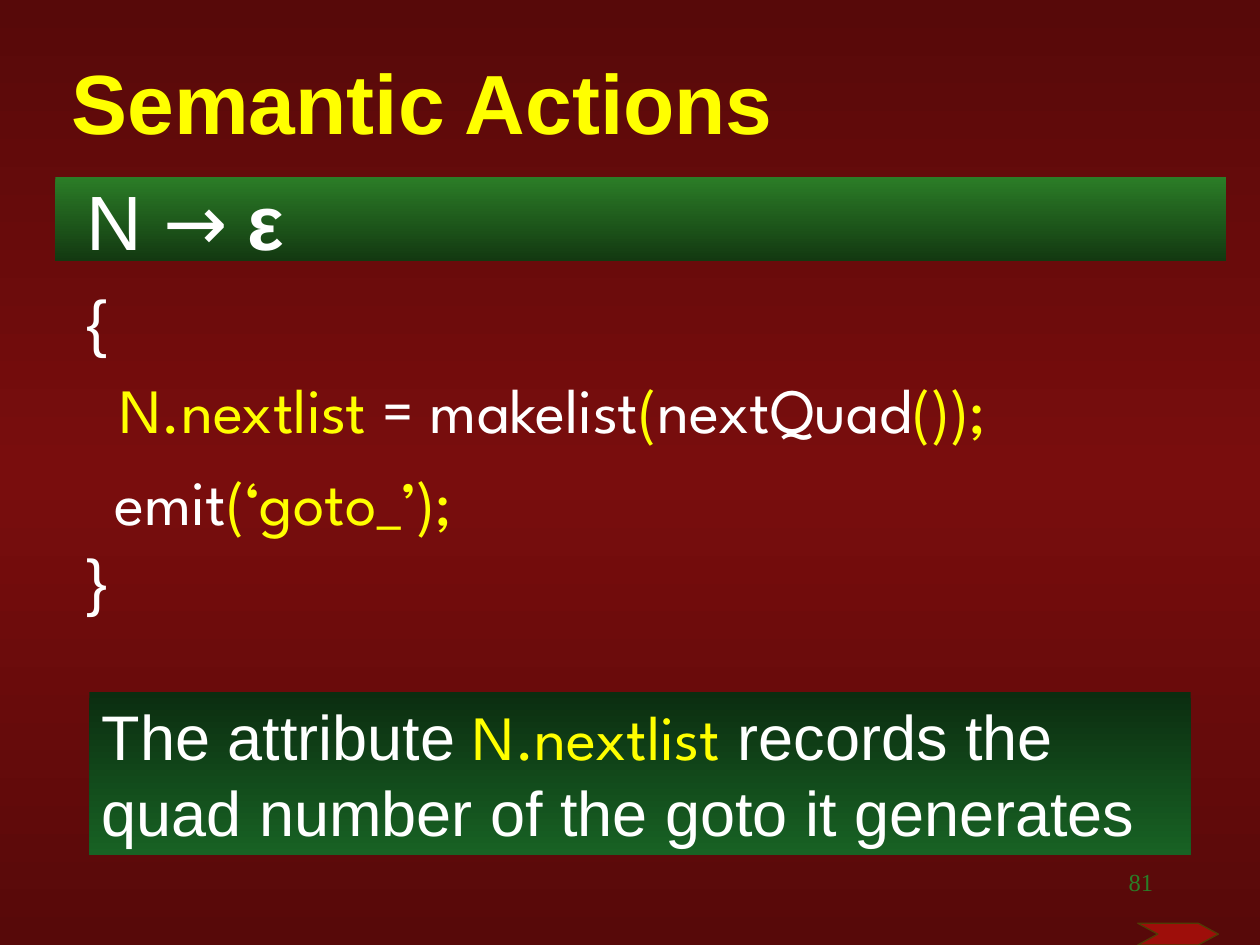
from copy import deepcopy

from pptx import Presentation
from pptx.dml.color import RGBColor
from pptx.enum.shapes import MSO_SHAPE
from pptx.enum.text import MSO_ANCHOR, PP_ALIGN
from pptx.oxml.ns import qn
from pptx.util import Inches, Pt

RECTANGLE = MSO_SHAPE.RECTANGLE
TOP, MIDDLE = MSO_ANCHOR.TOP, MSO_ANCHOR.MIDDLE
LEFT, RIGHT = PP_ALIGN.LEFT, PP_ALIGN.RIGHT
WIDTH, HEIGHT = Inches(10), Inches(7.5)
SANS, CODE, SERIF = "Arial", "League Spartan", "Times New Roman"
WHITE, YELLOW, GREEN = "FFFFFF", "FFFF00", "2B7D27"


def rgb(value):
    """Turn a hex string into a colour."""
    return RGBColor.from_string(value)


def share(left, top, width, height):
    """Turn shares of the slide into a box of lengths."""
    return tuple(round(part * side) for part, side in
                 zip((left, top, width, height), (WIDTH, HEIGHT) * 2))


def gradient(fill, owner, colors):
    """Fill from top to bottom with evenly spaced colours."""
    fill.gradient()
    fill.gradient_angle = 270
    stops = next(owner.iter(qn("a:gsLst")))
    for _ in colors[2:]:
        stops.append(deepcopy(stops[-1]))
    for index, (stop, color) in enumerate(zip(fill.gradient_stops, colors)):
        stop.position = index / (len(colors) - 1)
        stop.color.rgb = rgb(color)


def write(paragraph, text, font=SANS, size=36, color=WHITE, bold=False):
    """Add one formatted run to a paragraph."""
    run = paragraph.add_run()
    run.text = text
    run.font.name, run.font.size, run.font.bold = font, Pt(size), bold
    run.font.color.rgb = rgb(color)


def frame_of(shape, anchor=TOP):
    """Prepare the text frame of a shape for wrapped text."""
    frame = shape.text_frame
    frame.word_wrap = True
    frame.vertical_anchor = anchor
    return frame


def band(slide, box, colors):
    """Draw a borderless gradient rectangle."""
    shape = slide.shapes.add_shape(RECTANGLE, *box)
    shape.shadow.inherit = False
    shape.line.fill.background()
    gradient(shape.fill, shape.fill._xPr, colors)
    return shape


def label(slide, box, text, align=LEFT, anchor=TOP, **style):
    """Place a single line of text."""
    paragraph = frame_of(slide.shapes.add_textbox(*box), anchor).paragraphs[0]
    paragraph.alignment = align
    write(paragraph, text, **style)


def semantic_rule(slide, box):
    """Write the production and the action it triggers."""
    code, code_yellow = {"font": CODE}, {"font": CODE, "color": YELLOW}
    lines = [
        (58, 0, [("N ", {"size": 44}), ("→ ", {"font": CODE, "size": 44}),
                 ("ε", {"size": 44, "bold": True})]),
        (53, 0, [("{", {})]),
        (50, 0.26, [("N.nextlist", code_yellow), (" = makelist", code),
                    ("(", code_yellow), ("nextQuad", code), ("());", code_yellow)]),
        (53, 0.22, [("emit", code), ("(‘goto_’);", code_yellow)]),
        (45, 0, [("}", {})]),
    ]
    frame = frame_of(slide.shapes.add_textbox(*box))
    for index, (pitch, indent, runs) in enumerate(lines):
        paragraph = frame.add_paragraph() if index else frame.paragraphs[0]
        paragraph.line_spacing = Pt(pitch)
        paragraph._p.get_or_add_pPr().set("marL", str(Inches(indent)))
        for text, style in runs:
            write(paragraph, text, **style)


def explanation(slide, box):
    """Draw the panel that explains the attribute."""
    paragraph = frame_of(band(slide, box, ("0B2D10", "186224"))).paragraphs[0]
    paragraph.alignment = LEFT
    write(paragraph, "The attribute ")
    write(paragraph, "N.nextlist", font=CODE, color=YELLOW)
    write(paragraph, " records the quad number of the goto it generates")


def next_arrow(slide, box):
    """Draw the notched arrow at the foot of the slide."""
    left, top, width, height = box
    outline = [(0, 0), (0.75, 0), (1, 0.5), (0.75, 1), (0, 1), (0.25, 0.5)]
    points = [(round(left + x * width), round(top + y * height)) for x, y in outline]
    builder = slide.shapes.build_freeform(*points[0])
    builder.add_line_segments(points[1:], close=True)
    arrow = builder.convert_to_shape()
    arrow.shadow.inherit = False
    arrow.fill.solid()
    arrow.fill.fore_color.rgb = rgb("9E0E0A")
    arrow.line.color.rgb = rgb("503C04")
    arrow.line.width = Pt(0.75)


def main():
    """Build the slide and save it."""
    deck = Presentation()
    deck.slide_width, deck.slide_height = WIDTH, HEIGHT
    slide = deck.slides.add_slide(deck.slide_layouts[6])
    gradient(slide.background.fill, slide.element, ("570909", "790D0D", "570909"))
    band(slide, share(0.044, 0.187, 0.929, 0.089), (GREEN, "133911"))
    label(slide, share(0.047, 0.052, 0.92, 0.11), "Semantic Actions",
          anchor=MIDDLE, size=48, color=YELLOW, bold=True)
    semantic_rule(slide, share(0.059, 0.167, 0.894, 0.605))
    explanation(slide, share(0.071, 0.732, 0.874, 0.173))
    next_arrow(slide, share(0.903, 0.977, 0.064, 0.023))
    label(slide, share(0.717, 0.911, 0.208, 0.067), "81",
          align=RIGHT, font=SERIF, size=14, color=GREEN)
    deck.save("out.pptx")


if __name__ == "__main__":
    main()
